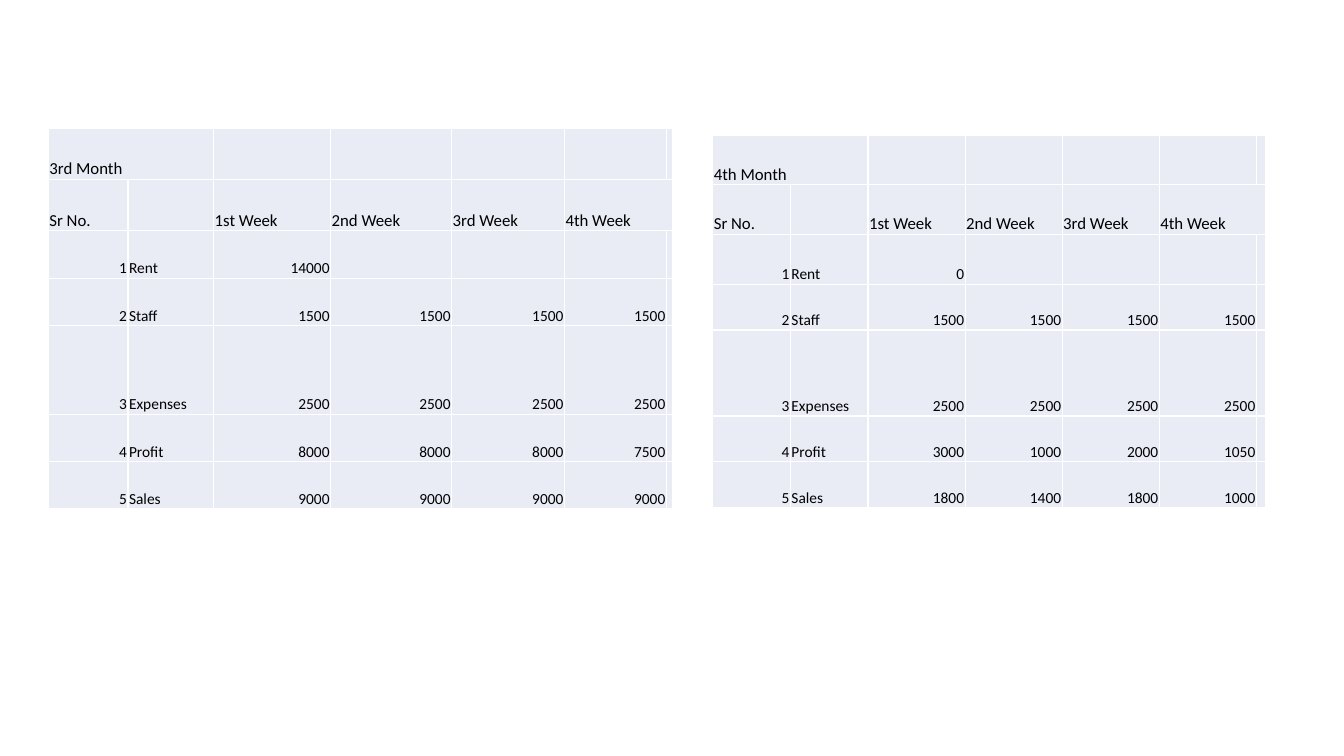
"""Build a slide with two monthly budget tables side by side."""
import dataclasses

import pptx
import pptx.dml.color
import pptx.enum.text
import pptx.oxml
import pptx.oxml.ns
import pptx.util


@dataclasses.dataclass(frozen=True)
class Theme:
    """Colours, font and type sizes of the slide."""

    font: str = "Calibri"
    ink: str = "000000"
    cell: str = "E9EBF5"
    rule: str = "FFFFFF"
    rule_width: float = 1
    heading: float = 12
    entry: float = 11


WEEKS = ["1st Week", "2nd Week", "3rd Week", "4th Week"]
ITEMS = ["Rent", "Staff", "Expenses", "Profit", "Sales"]
THIRD_MONTH = [
    [14000],
    [1500] * 4,
    [2500] * 4,
    [8000, 8000, 8000, 7500],
    [9000] * 4,
]
FOURTH_MONTH = [
    [0],
    [1500] * 4,
    [2500] * 4,
    [3000, 1000, 2000, 1050],
    [1800, 1400, 1800, 1000],
]


class BudgetSlide:
    """Draw on one slide, measured in a grid of 133.3 columns by 75 rows."""

    def __init__(self, deck, theme):
        """Add a blank slide and work out the grid steps."""
        self.theme = theme
        self.slide = deck.slides.add_slide(deck.slide_layouts[6])
        self.column = deck.slide_width / 133.3
        self.row = deck.slide_height / 75

    def across(self, columns):
        """Return the length of some grid columns."""
        return pptx.util.Emu(round(columns * self.column))

    def down(self, rows):
        """Return the length of some grid rows."""
        return pptx.util.Emu(round(rows * self.row))

    def border(self, cell):
        """Rule all four sides of a cell."""
        properties = cell._tc.get_or_add_tcPr()
        width = pptx.util.Pt(self.theme.rule_width)
        for side in ("lnL", "lnR", "lnT", "lnB"):
            properties.append(pptx.oxml.parse_xml(
                f'<a:{side} {pptx.oxml.ns.nsdecls("a")} w="{width}"><a:solidFill>'
                f'<a:srgbClr val="{self.theme.rule}"/></a:solidFill></a:{side}>'
            ))

    def style(self, cell, size):
        """Give a cell its rules, fill, margins and type; numbers go right."""
        self.border(cell)
        cell.fill.solid()
        cell.fill.fore_color.rgb = pptx.dml.color.RGBColor.from_string(self.theme.cell)
        cell.margin_left = cell.margin_right = self.across(0.1)
        cell.margin_top, cell.margin_bottom = self.down(0.1), 0
        cell.vertical_anchor = pptx.enum.text.MSO_ANCHOR.BOTTOM
        paragraph = cell.text_frame.paragraphs[0]
        if cell.text_frame.text.isdigit():
            paragraph.alignment = pptx.enum.text.PP_ALIGN.RIGHT
        for run in paragraph.runs:
            run.font.name = self.theme.font
            run.font.size = pptx.util.Pt(size)
            run.font.color.rgb = pptx.dml.color.RGBColor.from_string(self.theme.ink)

    def month(self, name, amounts, left, top, widths, heights):
        """Add the budget table of one month."""
        lines = [[name], ["Sr No.", "", *WEEKS]]
        for number, (item, values) in enumerate(zip(ITEMS, amounts), 1):
            lines.append([number, item, *values])
        budget = self.slide.shapes.add_table(
            len(heights), len(widths), self.across(left), self.down(top),
            self.across(sum(widths)), self.down(sum(heights)),
        ).table
        budget.first_row = budget.horz_banding = False
        for column, width in zip(budget.columns, widths):
            column.width = self.across(width)
        for row, height in zip(budget.rows, heights):
            row.height = self.down(height)
        for r, line in enumerate(lines):
            for c, entry in enumerate(line):
                budget.cell(r, c).text_frame.text = str(entry)
            for c in range(len(widths)):
                self.style(budget.cell(r, c), self.theme.heading if r < 2 else self.theme.entry)
        budget.cell(0, 0).merge(budget.cell(0, 1))
        budget.cell(1, 5).merge(budget.cell(1, 6))


def main():
    """Build and save the deck."""
    deck = pptx.Presentation()
    deck.slide_width = pptx.util.Inches(13.33)
    deck.slide_height = pptx.util.Inches(7.5)
    budgets = BudgetSlide(deck, Theme())
    budgets.month(
        "3rd Month", THIRD_MONTH, 4.8, 12.7,
        [7.9, 8.5, 11.6, 12, 11.2, 10.1, 0.6],
        [5.1, 5.1, 4.7, 4.7, 8.8, 4.7, 4.7],
    )
    budgets.month(
        "4th Month", FOURTH_MONTH, 7.07 * 10, 13.4,
        [7.7, 7.7, *[9.63] * 4, 0.9],
        [4.93, 4.93, 4.93, 4.55, 8.54, 4.55, 4.55],
    )
    deck.save("out.pptx")


if __name__ == "__main__":
    main()
